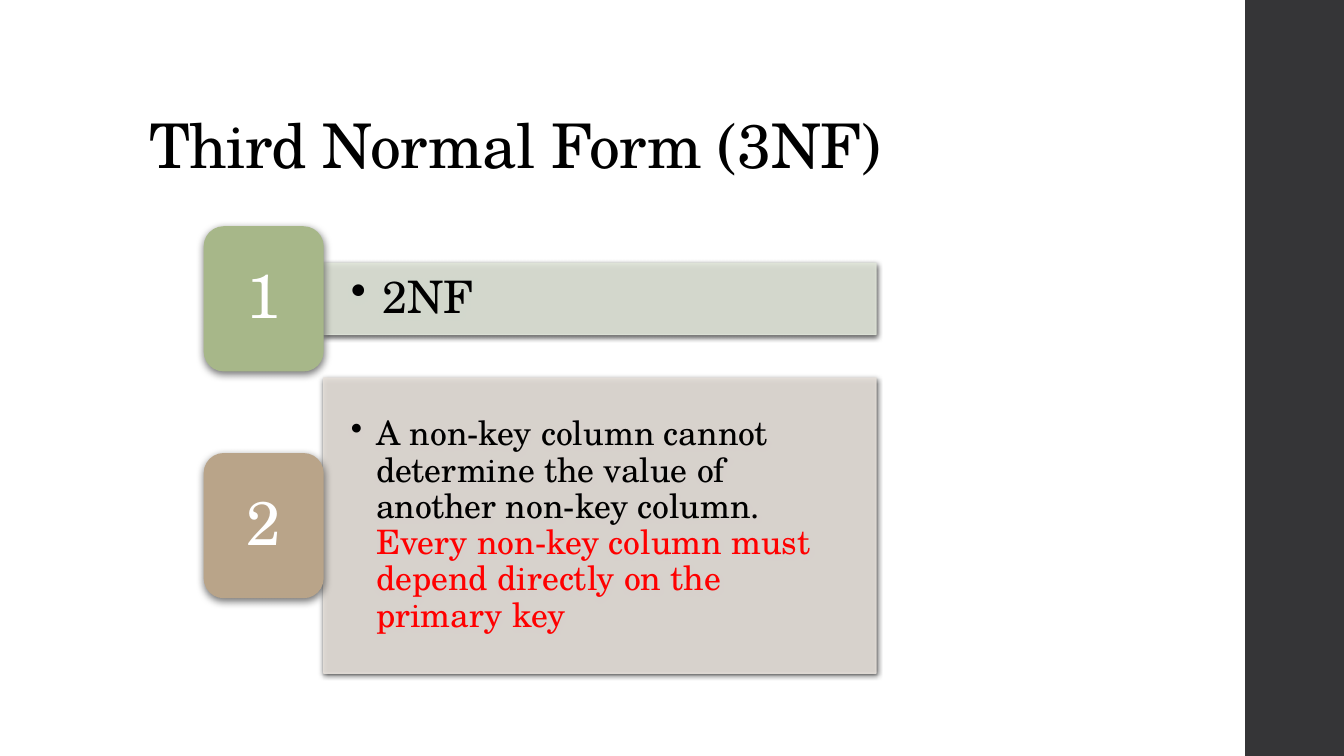
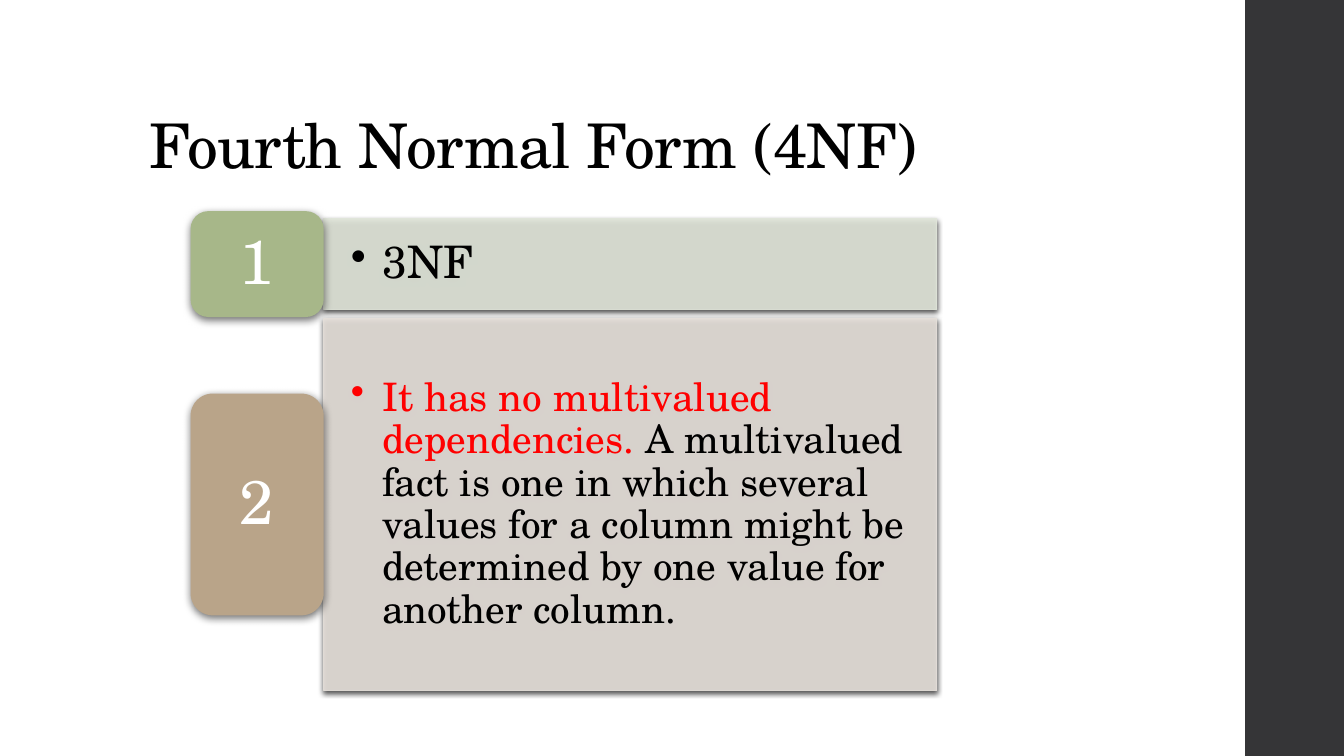
"""Build two slides on the third and fourth normal forms."""
from lxml import etree
from pptx import Presentation
from pptx.dml.color import RGBColor
from pptx.enum.shapes import MSO_SHAPE
from pptx.enum.text import MSO_ANCHOR, MSO_AUTO_SIZE, PP_ALIGN
from pptx.oxml.ns import qn
from pptx.util import Inches, Pt

RECTANGLE = MSO_SHAPE.RECTANGLE
ROUNDED = MSO_SHAPE.ROUNDED_RECTANGLE
MIDDLE, BOTTOM = MSO_ANCHOR.MIDDLE, MSO_ANCHOR.BOTTOM
LEFT, CENTER = PP_ALIGN.LEFT, PP_ALIGN.CENTER
NO_FIT = MSO_AUTO_SIZE.NONE

FONT = "TeX Gyre Schola"
COLORS = {
    "band": "353537", "black": "000000", "white": "FFFFFF", "red": "FF0000",
    "green": "A7B789", "tan": "B9A489",
    "pale green": "E1E6DA", "pale tan": "E6E0DA",
}
THEMES = [("green", "pale green"), ("tan", "pale tan")]
BAND_BOX = (12.35, 0, 1, 7.5)
TITLE_BOX = (1.38, 0.4, 10.6, 1.45)
PANEL_LEFT = 3.21
PANEL_OPACITY = 90
PANEL_SHADOW = {"opacity": 75, "blur": 4, "distance": 1.2}
BADGE_SHADOW = {"opacity": 55, "blur": 6, "distance": 2}
PANEL_FRAME = {
    "margin_left": Inches(0.27), "margin_right": Inches(0.27),
    "margin_top": Inches(0.14), "margin_bottom": Inches(0.14),
    "vertical_anchor": MIDDLE,
}
SLIDES = [
    {
        "title": "Third Normal Form (3NF)", "panel_width": 5.48, "badge_width": 1.19,
        "rules": [
            {"top": 2.61, "height": 0.71, "badge_height": 1.44, "size": 32, "indent": 0.31,
             "runs": [("2NF", "black")]},
            {"top": 3.75, "height": 2.93, "badge_height": 1.44, "size": 24, "indent": 0.25,
             "runs": [("A non-key column cannot determine the value of another "
                       "non-key column. ", "black"),
                      ("Every non-key column must depend directly on the primary key", "red")]},
        ],
    },
    {
        "title": "Fourth Normal Form (4NF)", "panel_width": 6.08, "badge_width": 1.32,
        "rules": [
            {"top": 2.17, "height": 0.9, "badge_height": 1.05, "size": 32, "indent": 0.31,
             "runs": [("3NF", "black")]},
            {"top": 3.16, "height": 3.69, "badge_height": 2.2, "size": 28, "indent": 0.31,
             "runs": [("It has no multivalued dependencies. ", "red"),
                      ("A multivalued fact is one in which several values for a column "
                       "might be determined by one value for another column.", "black")]},
        ],
    },
]


def rgb(name):
    """Return the named colour."""
    return RGBColor.from_string(COLORS[name])


def apply_format(target, values):
    """Set each attribute of the target."""
    for name, value in values.items():
        setattr(target, name, value)


def place(shape, box):
    """Move and size a shape in inches."""
    apply_format(shape, dict(zip(("left", "top", "width", "height"), map(Inches, box))))


def add_opacity(color, percent):
    """Give a colour element its opacity."""
    etree.SubElement(color, qn("a:alpha"), val=str(percent * 1000))


def add_box(slide, kind, box, color, outlined=False):
    """Add a filled shape without a shadow."""
    shape = slide.shapes.add_shape(kind, *map(Inches, box))
    shape.shadow.inherit = False
    shape.fill.solid()
    shape.fill.fore_color.rgb = rgb(color)
    if outlined:
        shape.line.color.rgb = rgb(color)
        shape.line.width = Pt(0.75)
    else:
        shape.line.fill.background()
    return shape


def add_shadow(shape, opacity, blur, distance):
    """Drop a black shadow straight down."""
    effects = shape.element.spPr.find(qn("a:effectLst"))
    shadow = etree.SubElement(
        effects, qn("a:outerShdw"), blurRad=str(Pt(blur)), dist=str(Pt(distance)),
        dir="5400000", algn="ctr", rotWithShape="0")
    add_opacity(etree.SubElement(shadow, qn("a:srgbClr"), val=COLORS["black"]), opacity)


def write(shape, runs, size, alignment, frame_format):
    """Fill a shape with one paragraph and return it."""
    frame = shape.text_frame
    apply_format(frame, {"word_wrap": True, "auto_size": NO_FIT, **frame_format})
    paragraph = frame.paragraphs[0]
    apply_format(paragraph, {"alignment": alignment, "line_spacing": 0.9})
    for text, color in runs:
        run = paragraph.add_run()
        run.text = text
        apply_format(run.font, {"name": FONT, "size": Pt(size)})
        run.font.color.rgb = rgb(color)
    return paragraph


def add_bullet(paragraph, indent):
    """Hang the paragraph on a round bullet."""
    properties = paragraph._p.get_or_add_pPr()
    properties.set("marL", str(Inches(indent)))
    properties.set("indent", str(-Inches(indent)))
    etree.SubElement(properties, qn("a:buChar"), char="•")


def add_title(slide, text):
    """Place and format the title."""
    title = slide.shapes.title
    place(title, TITLE_BOX)
    paragraph = write(title, [(text, "black")], 44, LEFT, {"vertical_anchor": BOTTOM})
    paragraph.runs[0].font._element.set("spc", "-50")


def add_rule(slide, rule, number, theme, panel_width, badge_width):
    """Add a text panel with its number badge centred beside it."""
    badge_color, panel_color = theme
    panel_box = (PANEL_LEFT, rule["top"], panel_width, rule["height"])
    panel = add_box(slide, RECTANGLE, panel_box, panel_color, outlined=True)
    for color in panel.element.xpath("./p:spPr//a:srgbClr"):
        add_opacity(color, PANEL_OPACITY)
    add_shadow(panel, **PANEL_SHADOW)
    add_bullet(write(panel, rule["runs"], rule["size"], LEFT, PANEL_FRAME), rule["indent"])

    badge_top = rule["top"] + (rule["height"] - rule["badge_height"]) / 2
    badge_box = (PANEL_LEFT - badge_width, badge_top, badge_width, rule["badge_height"])
    badge = add_box(slide, ROUNDED, badge_box, badge_color)
    add_shadow(badge, **BADGE_SHADOW)
    write(badge, [(str(number), "white")], 44, CENTER, {"vertical_anchor": MIDDLE})


def main():
    """Build and save the presentation."""
    presentation = Presentation()
    presentation.slide_width, presentation.slide_height = Inches(13.33), Inches(7.5)
    layout = presentation.slide_layouts.get_by_name("Title Only")
    for content in SLIDES:
        slide = presentation.slides.add_slide(layout)
        add_title(slide, content["title"])
        for number, (rule, theme) in enumerate(zip(content["rules"], THEMES), 1):
            add_rule(slide, rule, number, theme, content["panel_width"], content["badge_width"])
    band = add_box(slide, RECTANGLE, BAND_BOX, "band")
    layout.shapes.element.append(band.element)
    presentation.save("out.pptx")


if __name__ == "__main__":
    main()
